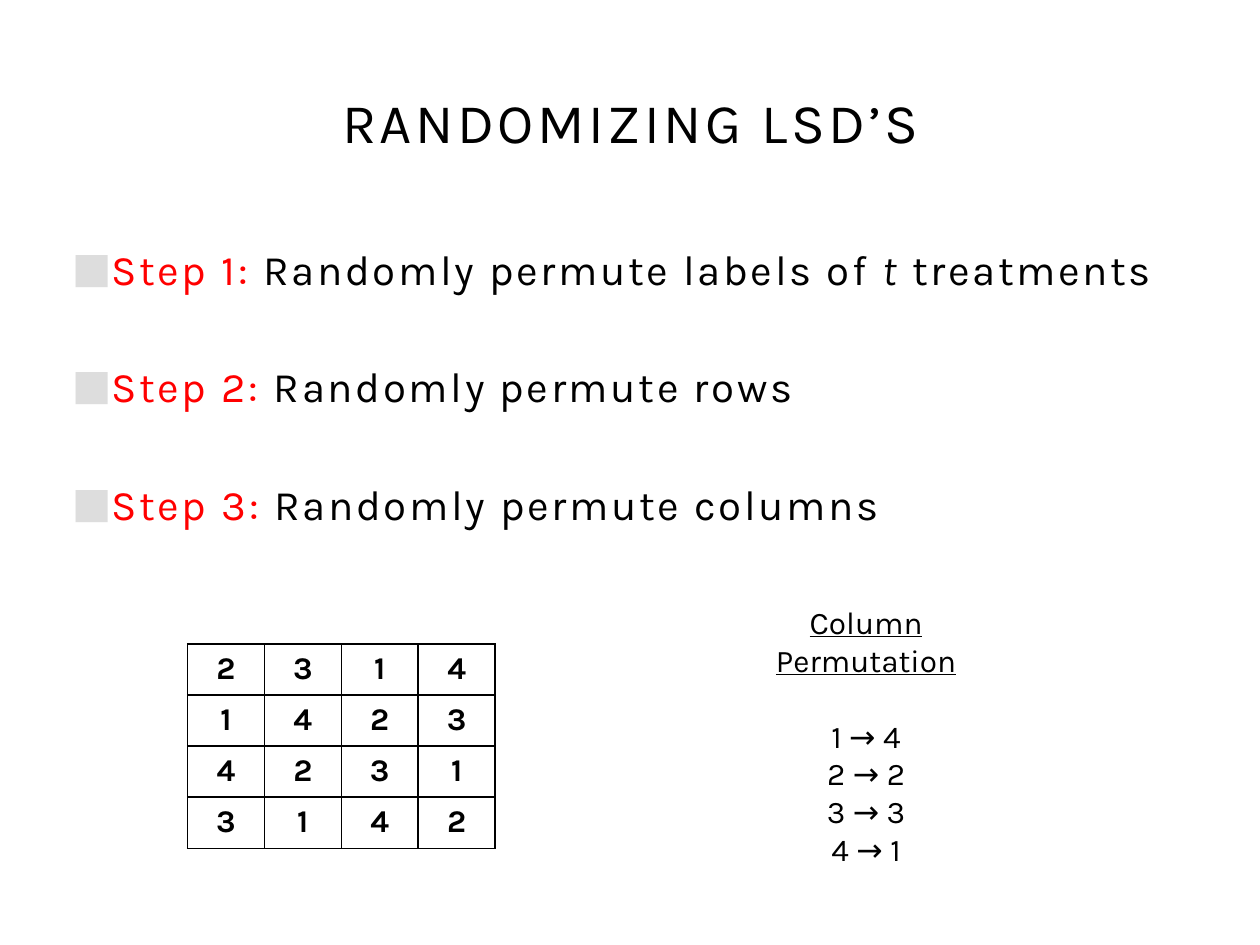
import pptx
import pptx.util
import pptx.dml.color
import pptx.enum.shapes
import pptx.enum.text
import pptx.oxml
from pptx.oxml.ns import nsdecls

FONT = "Karla"
COLORS = {"text": "000000", "step": "FF0000", "bullet": "DDDDDD", "paper": "FFFFFF"}
Cm, Pt = pptx.util.Cm, pptx.util.Pt
CENTER = pptx.enum.text.PP_ALIGN.CENTER

TITLE = "RANDOMIZING LSD’S"
# Each step is a list of (text, italic) parts after its label
STEPS = [
    [("Randomly permute labels of ", False), ("t", True), (" treatments", False)],
    [("Randomly permute rows", False)],
    [("Randomly permute columns", False)],
]
SQUARE = [[2, 3, 1, 4], [1, 4, 2, 3], [4, 2, 3, 1], [3, 1, 4, 2]]
COLUMN_MAP = {1: 4, 2: 2, 3: 3, 4: 1}


def rgb(name):
    return pptx.dml.color.RGBColor.from_string(COLORS[name])


def format_run(run, size, color="text", spacing=0):
    run.font.name = FONT
    run.font.size = Pt(size)
    run.font.color.rgb = rgb(color)
    if spacing:
        run.font._element.set("spc", str(int(spacing * 100)))


def set_bullet(paragraph):
    properties = paragraph._p.get_or_add_pPr()
    properties.set("marL", str(Cm(0.76)))
    properties.set("indent", str(-Cm(0.63)))
    for xml in (
        f'<a:buClr {nsdecls("a")}><a:srgbClr val="{COLORS["bullet"]}"/></a:buClr>',
        f'<a:buFont {nsdecls("a")} typeface="{FONT}"/>',
        f'<a:buChar {nsdecls("a")} char="■"/>',
    ):
        properties.append(pptx.oxml.parse_xml(xml))


def set_borders(cell):
    properties = cell._tc.get_or_add_tcPr()
    for index, side in enumerate(("lnL", "lnR", "lnT", "lnB")):
        properties.insert(index, pptx.oxml.parse_xml(
            f'<a:{side} {nsdecls("a")} w="{Pt(1)}"><a:solidFill>'
            f'<a:srgbClr val="{COLORS["text"]}"/></a:solidFill></a:{side}>'))


def add_title(slide, left, top, width, height):
    shape = slide.shapes.add_shape(
        pptx.enum.shapes.MSO_SHAPE.RECTANGLE, left, top, width, height)
    shape.shadow.inherit = False
    shape.fill.solid()
    shape.fill.fore_color.rgb = rgb("paper")
    shape.line.fill.background()
    shape.text_frame.text = TITLE
    shape.text_frame.vertical_anchor = pptx.enum.text.MSO_ANCHOR.MIDDLE
    paragraph = shape.text_frame.paragraphs[0]
    paragraph.alignment = CENTER
    format_run(paragraph.runs[0], 32, spacing=2)


def add_steps(slide, left, top, width, height):
    text_frame = slide.shapes.add_textbox(left, top, width, height).text_frame
    text_frame.word_wrap = True
    for number, parts in enumerate(STEPS, start=1):
        paragraph = text_frame.paragraphs[0] if number == 1 else text_frame.add_paragraph()
        paragraph.text = f"Step {number}:"
        paragraph.space_after = Pt(38.4)
        set_bullet(paragraph)
        format_run(paragraph.runs[0], 24, "step", spacing=1.5)
        for index, (text, italic) in enumerate(parts):
            run = paragraph.add_run()
            run.text = " " + text if index == 0 else text
            run.font.italic = italic
            format_run(run, 24, spacing=1.5)


def add_square(slide, left, top, width, height):
    size = len(SQUARE)
    table = slide.shapes.add_table(size, size, left, top, width, height).table
    table.first_row = table.horz_banding = False
    for row, labels in enumerate(SQUARE):
        for column, label in enumerate(labels):
            cell = table.cell(row, column)
            cell.text = str(label)
            cell.fill.background()
            set_borders(cell)
            paragraph = cell.text_frame.paragraphs[0]
            paragraph.alignment = CENTER
            format_run(paragraph.runs[0], 18)
            paragraph.runs[0].font.bold = True


def add_column_map(slide, left, top, width, height):
    text_frame = slide.shapes.add_textbox(left, top, width, height).text_frame
    text_frame.word_wrap = True
    lines = ["Column Permutation"] + [f"{old} → {new}" for old, new in COLUMN_MAP.items()]
    text_frame.text = "\n".join(lines)
    for paragraph in text_frame.paragraphs:
        paragraph.alignment = CENTER
        format_run(paragraph.runs[0], 18)
    heading = text_frame.paragraphs[0]
    heading.runs[0].font.underline = True
    heading.space_after = Pt(21.5)


def main():
    presentation = pptx.Presentation()
    presentation.slide_width, presentation.slide_height = Cm(25.4), Cm(19.05)
    slide = presentation.slides.add_slide(presentation.slide_layouts[6])
    add_steps(slide, Cm(1.07), Cm(4.78), Cm(23.8), Cm(13.77))
    add_title(slide, Cm(1.07), Cm(0.99), Cm(23.29), Cm(2.92))
    add_square(slide, Cm(3.78), Cm(12.98), Cm(6.2), Cm(4.12))
    add_column_map(slide, Cm(14.35), Cm(12.04), Cm(6.22), Cm(4.88))
    presentation.save("out.pptx")


if __name__ == "__main__":
    main()
